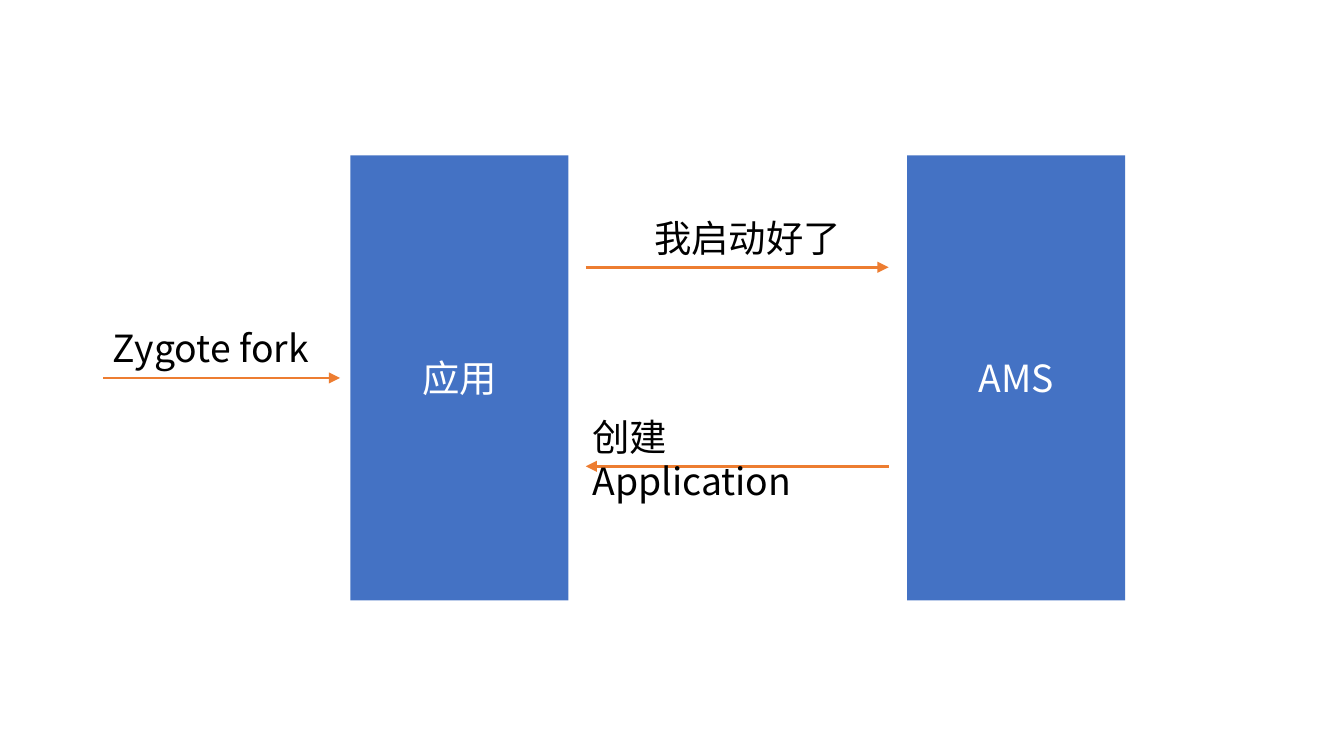
"""Build a slide of the start-up messages between an app and AMS."""
from pptx import Presentation
from pptx import util as u
from pptx.dml.color import RGBColor
from pptx.enum import shapes, text
from pptx.oxml import parse_xml
from pptx.oxml.ns import nsdecls, qn

BLUE = RGBColor(0x44, 0x72, 0xC4)
ORANGE = RGBColor(0xED, 0x7D, 0x31)
BLACK = RGBColor(0, 0, 0)
WHITE = RGBColor(255, 255, 255)
FONT = "Noto Sans CJK SC"
Pt = u.Pt


def style(frame, color):
    """Format every run of a text frame."""
    for para in frame.paragraphs:
        for run in para.runs:
            run.font.size = Pt(20)
            run.font.name = FONT
            run.font.color.rgb = color
            props = run.font._element
            props.append(parse_xml(f'<a:ea {nsdecls("a")} typeface="{FONT}"/>'))


def actor(slide, box, name):
    """Draw a named block in the given box."""
    block = slide.shapes.add_shape(
        shapes.MSO_SHAPE.RECTANGLE, *(Pt(n) for n in box))
    block.shadow.inherit = False
    block.fill.solid()
    block.fill.fore_color.rgb = BLUE
    block.line.fill.background()
    frame = block.text_frame
    frame.text = name
    frame.vertical_anchor = text.MSO_ANCHOR.MIDDLE
    frame.paragraphs[0].alignment = text.PP_ALIGN.CENTER
    style(frame, WHITE)


def arrow(slide, start, end, y):
    """Draw a level arrow from start to end."""
    line = slide.shapes.add_connector(
        shapes.MSO_CONNECTOR.STRAIGHT, Pt(start), Pt(y), Pt(end), Pt(y))
    line.line.color.rgb = ORANGE
    line.line.width = Pt(1.5)
    props = line._element.spPr
    props.find(qn("a:ln")).append(
        parse_xml(f'<a:tailEnd {nsdecls("a")} type="triangle"/>'))
    props.append(parse_xml(f'<a:effectLst {nsdecls("a")}/>'))


def label(slide, box, words, wrap=False):
    """Write a message label in the given box."""
    frame = slide.shapes.add_textbox(*(Pt(n) for n in box)).text_frame
    frame.word_wrap = wrap
    frame.auto_size = text.MSO_AUTO_SIZE.SHAPE_TO_FIT_TEXT
    if wrap:
        frame.margin_right = Pt(32)
    frame.text = words
    style(frame, BLACK)


def flow(slide, box):
    """Place the actors and their messages in the given box."""
    left, top, width, height = box
    wide = 116.8
    app = left + 132.4
    ams = left + width - wide
    near, far = app + wide + 9.2, ams - 10
    for x, name in ((app, "应用"), (ams, "AMS")):
        actor(slide, (x, top, wide, height), name)
    calls = (
        (left, left + 126.8, 119.2, left - 2, 126, "Zygote fork", False),
        (near, far, 59.9, near + 29.5, 115.2, "我启动好了", False),
        (far, near, 166.5, near - 3.5, 165.6, "创建Application", True),
    )
    for start, end, drop, x, span, words, wrap in calls:
        y = top + drop
        arrow(slide, start, end, y)
        label(slide, (x, y - 31.7, span, 31.7), words, wrap)


def main():
    """Build and save the deck."""
    deck = Presentation()
    deck.slide_width, deck.slide_height = Pt(720), Pt(405)
    slide = deck.slides.add_slide(deck.slide_layouts[6])
    flow(slide, (55.4, 83.3, 547.4, 238.4))
    deck.save("out.pptx")


main()
